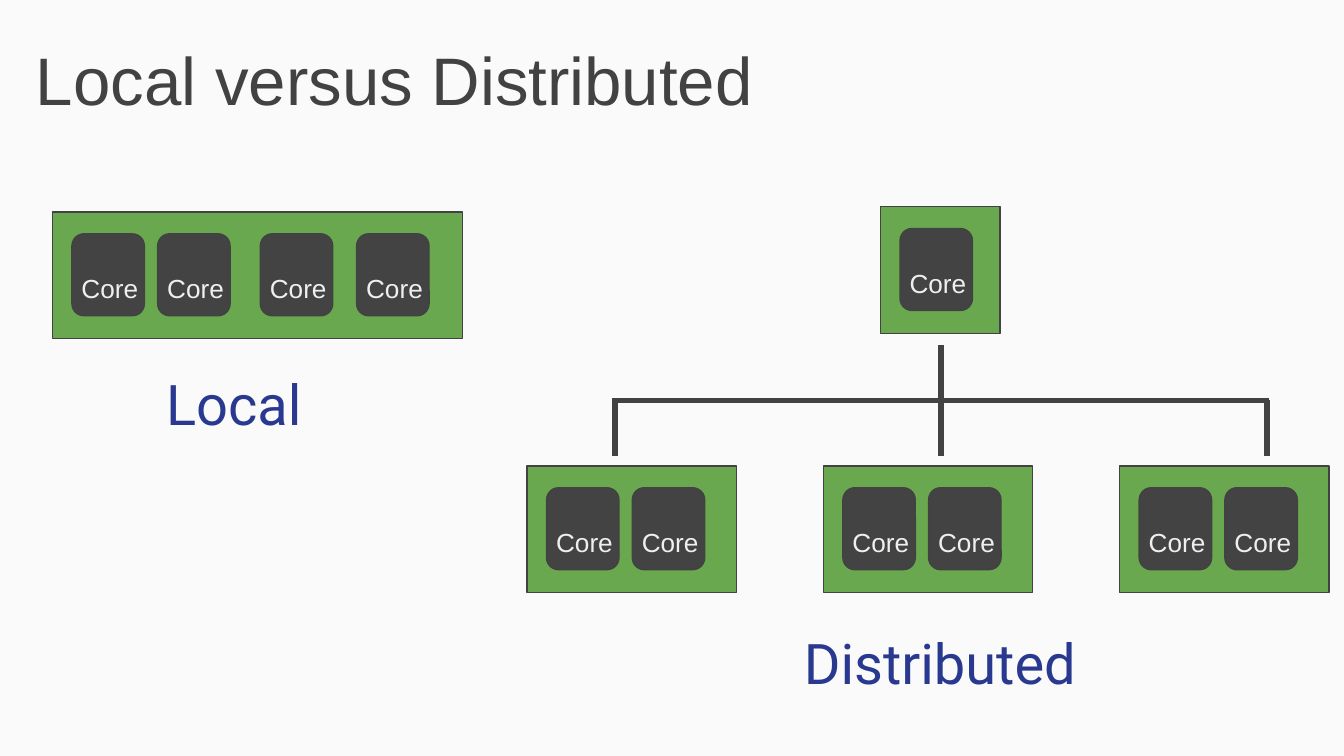
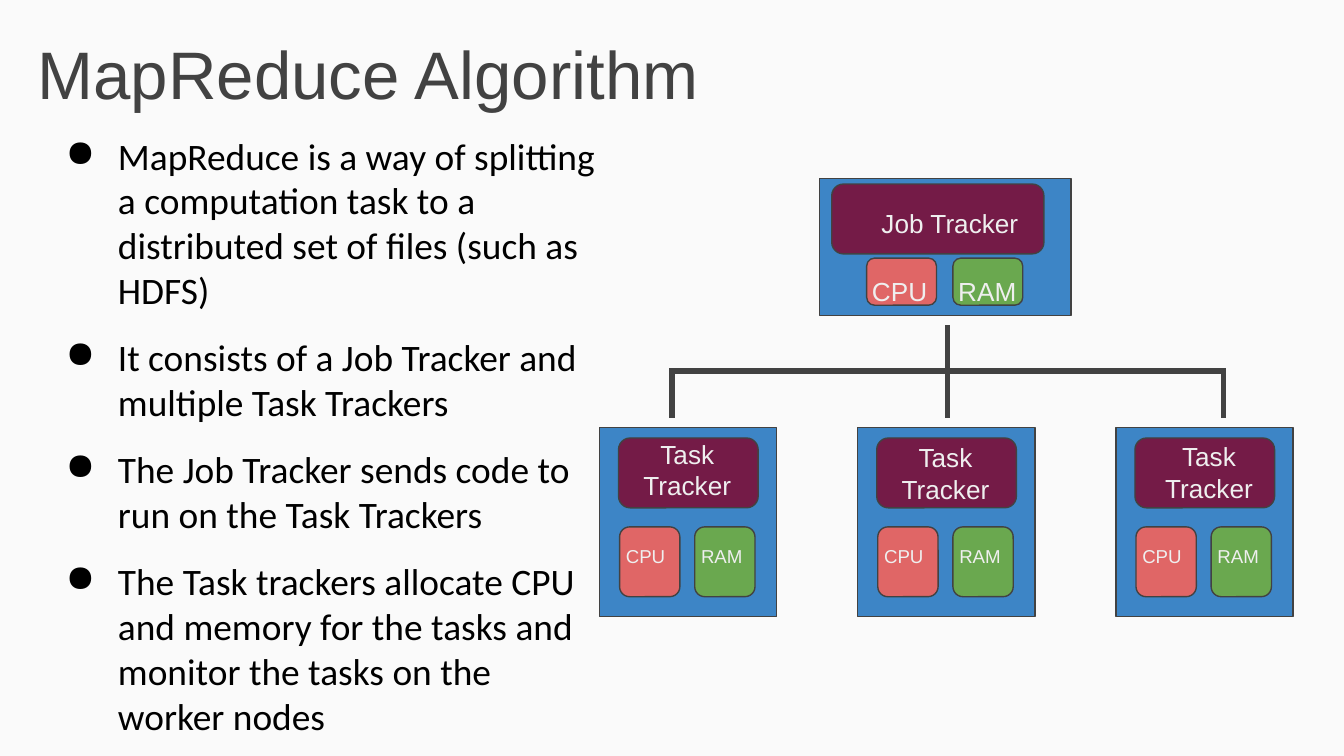
import pptx
import pptx.util
import pptx.dml.color
import pptx.enum.shapes
import pptx.enum.text
import pptx.oxml
import pptx.oxml.ns
import lxml.etree

Cm = pptx.util.Cm
Pt = pptx.util.Pt
RGB = pptx.dml.color.RGBColor
SHAPE = pptx.enum.shapes.MSO_SHAPE
ALIGN = pptx.enum.text.PP_ALIGN
qn = pptx.oxml.ns.qn

PAPER = RGB(0xFA, 0xFA, 0xFA)
INK = RGB(0x42, 0x42, 0x42)
CORE = RGB(0x43, 0x43, 0x43)
BLACK = RGB(0x00, 0x00, 0x00)
NAVY = RGB(0x2A, 0x39, 0x90)
GREEN = RGB(0x6A, 0xA8, 0x4F)
BLUE = RGB(0x3D, 0x85, 0xC6)
PLUM = RGB(0x74, 0x1B, 0x47)
RED = RGB(0xE0, 0x66, 0x66)
PALE = RGB(0xEF, 0xEF, 0xEF)

CORE_OFFSETS = (0.37, 1.99, 3.93, 5.75)
MACHINES = [(0.99, 4.01, 7.75, 4)]
MACHINES += [(9.96 + 5.6 * i, 8.81, 3.96, 2) for i in range(3)]
MACHINES += [(16.64, 3.91, 2.26, 1)]
CAPTIONS = [("Local", 2.44, 6.73, 3.96), ("Distributed", 14.55, 11.63, 6.43)]

BULLETS = [
    "MapReduce is a way of splitting a computation task to a distributed set of files (such as HDFS)",
    "It consists of a Job Tracker and multiple Task Trackers",
    "The Job Tracker sends code to run on the Task Trackers",
    "The Task trackers allocate CPU and memory for the tasks and monitor the tasks on the worker nodes",
]
UNITS = [("CPU", RED), ("RAM", GREEN)]
TASK_LABELS = [(11.35, 8.03), (16.23, 8.1), (21.21, 8.08)]


def add_text(s, lines, x, y, w, h, size, color, font="Arial", align=None):
    tf = s.shapes.add_textbox(Cm(x), Cm(y), Cm(w), Cm(h)).text_frame
    tf.word_wrap = True
    tf.margin_left = tf.margin_right = tf.margin_top = tf.margin_bottom = Cm(0.25)
    tf.text = "\n".join(lines)
    for p in tf.paragraphs:
        p.alignment = align
        p.font.size = Pt(size)
        p.font.name = font
        p.font.color.rgb = color
    return tf


def add_box(s, x, y, w, h, color, kind=SHAPE.RECTANGLE):
    sp = s.shapes.add_shape(kind, Cm(x), Cm(y), Cm(w), Cm(h))
    sp.shadow.inherit = False
    sp.fill.solid()
    sp.fill.fore_color.rgb = color
    sp.line.color.rgb = INK
    sp.line.width = Pt(0.75)


def add_rounded(s, x, y, w, h, color):
    add_box(s, x, y, w, h, color, SHAPE.ROUNDED_RECTANGLE)


def add_line(s, x1, y1, x2, y2):
    c = s.shapes.add_connector(pptx.enum.shapes.MSO_CONNECTOR.STRAIGHT, Cm(x1), Cm(y1), Cm(x2), Cm(y2))
    c.line.color.rgb = INK
    c.line.width = Pt(3)
    lxml.etree.SubElement(c._element.spPr, qn("a:effectLst"))


def add_tree(s, cx, top, bar, bottom, spread):
    add_line(s, cx, top, cx, bar)
    add_line(s, cx - spread - 0.05, bar, cx + spread + 0.05, bar)
    for x in (cx - spread, cx, cx + spread):
        add_line(s, x, bar, x, bottom)


def add_slide(prs, title, x, y):
    s = prs.slides.add_slide(prs.slide_layouts[6])
    add_text(s, [title], x, y, 23.67, 1.68, 36, INK)
    return s


def add_machine(s, x, y, w, cores):
    add_box(s, x, y, w, 2.39, GREEN)
    for dx in CORE_OFFSETS[:cores]:
        add_rounded(s, x + dx, y + 0.41, 1.37, 1.55, CORE)
        add_text(s, ["Core"], x + dx - 0.07, y + 0.89, 1.96, 0.58, 14, PALE)


def add_units(s, x, y, step, w, h, size, dx, dy):
    for i, (name, color) in enumerate(UNITS):
        left = x + i * step
        add_rounded(s, left, y, w, h, color)
        add_text(s, [name], left - dx, y + dy, w + 2 * dx, 0.5, size, PALE)


def add_bullets(s):
    tf = add_text(s, BULLETS, 0.71, 2.26, 10.95, 9.02, 20, BLACK, "Calibri")
    for p in tf.paragraphs:
        p.space_after = Pt(12)
        pPr = p._p.get_or_add_pPr()
        pPr.set("marL", str(Cm(1.27)))
        pPr.set("indent", str(-Cm(0.99)))
        bullet = pptx.oxml.parse_xml(
            '<a:buChar xmlns:a="http://schemas.openxmlformats.org/drawingml/2006/main" char="●"/>')
        pPr.find(qn("a:defRPr")).addprevious(bullet)


def build_local_versus_distributed(prs):
    s = add_slide(prs, "Local versus Distributed", 0.43, 0.48)
    for caption, x, y, w in CAPTIONS:
        add_text(s, [caption], x, y, w, 1.68, 30, NAVY, "Roboto", ALIGN.CENTER)
    add_tree(s, 17.78, 6.53, 7.57, 8.61, 6.16)
    for machine in MACHINES:
        add_machine(s, *machine)


def build_mapreduce(prs):
    s = add_slide(prs, "MapReduce Algorithm", 0.46, 0.36)
    add_tree(s, 17.91, 6.15, 7.01, 7.9, 5.21)
    add_box(s, 15.49, 3.38, 4.75, 2.59, BLUE)
    add_rounded(s, 15.72, 3.48, 4.01, 1.32, PLUM)
    add_text(s, ["Job Tracker"], 16.41, 3.68, 3.56, 0.51, 14, PALE)
    add_units(s, 16.38, 4.88, 1.63, 1.32, 0.89, 14, 0.15, 0.08)
    for i, (label_x, label_y) in enumerate(TASK_LABELS):
        x, y = 11.33 + 4.88 * i, 8.08
        add_box(s, x, y, 3.35, 3.58, BLUE)
        add_rounded(s, x + 0.36, y + 0.2, 2.64, 1.32, PLUM)
        add_text(s, ["Task Tracker"], label_x, label_y, 3.28, 0.51, 14, PALE, align=ALIGN.CENTER)
        add_units(s, x + 0.38, y + 1.88, 1.42, 1.14, 1.32, 10, 0.13, 0.13)
    add_bullets(s)


def main():
    prs = pptx.Presentation()
    prs.slide_width, prs.slide_height = Cm(25.4), Cm(14.29)
    fill = prs.slide_master.background.fill
    fill.solid()
    fill.fore_color.rgb = PAPER
    build_local_versus_distributed(prs)
    build_mapreduce(prs)
    prs.save("out.pptx")


if __name__ == "__main__":
    main()
